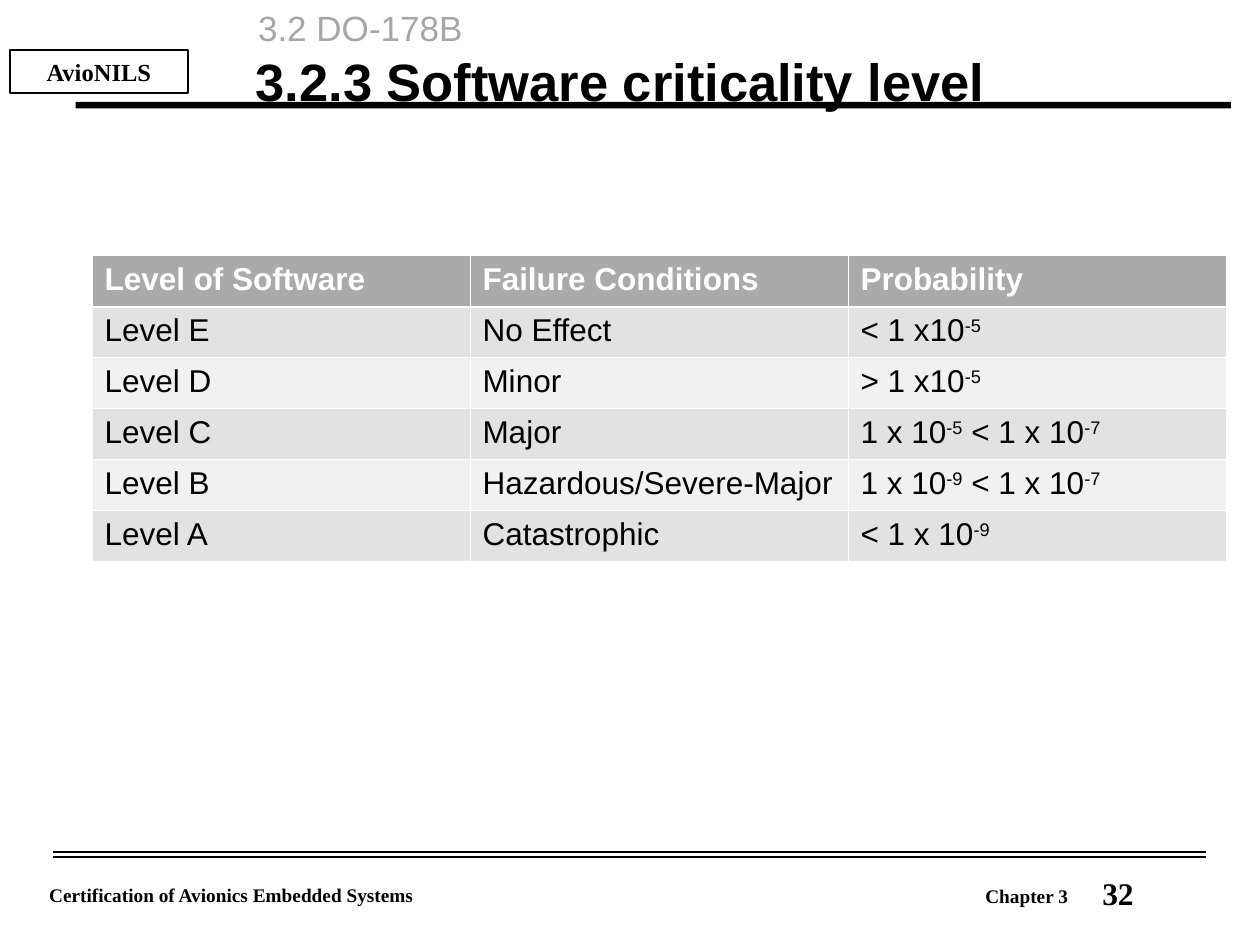
"""Build the software criticality level slide."""
from dataclasses import dataclass

from lxml import etree
from pptx import Presentation
from pptx.dml.color import RGBColor
from pptx.enum.shapes import MSO_CONNECTOR, MSO_SHAPE
from pptx.enum.text import MSO_ANCHOR, PP_ALIGN
from pptx.oxml.ns import qn
from pptx.util import Emu, Inches, Pt

LEFT, CENTER = PP_ALIGN.LEFT, PP_ALIGN.CENTER
TOP, MIDDLE = MSO_ANCHOR.TOP, MSO_ANCHOR.MIDDLE
RECTANGLE, STRAIGHT = MSO_SHAPE.RECTANGLE, MSO_CONNECTOR.STRAIGHT

WIDTH, HEIGHT = Inches(10), Inches(7.5)
GRID_COLUMNS = GRID_ROWS = 100
TITLE_ONLY = 5
SANS, SERIF = "Arial", "Times New Roman"
COLORS = {
    "black": "000000",
    "white": "FFFFFF",
    "section": "A6A6A6",
    "header": "AAAAAA",
    "odd_row": "E2E2E2",
    "even_row": "F1F1F1",
}
THIN_BORDER, HEADER_BORDER = 0.45, 1.47
LEVELS = [
    ("Level of Software", "Failure Conditions", "Probability"),
    ("Level E", "No Effect", "< 1 x10^-5"),
    ("Level D", "Minor", "> 1 x10^-5"),
    ("Level C", "Major", "1 x 10^-5^ < 1 x 10^-7"),
    ("Level B", "Hazardous/Severe-Major", "1 x 10^-9^ < 1 x 10^-7"),
    ("Level A", "Catastrophic", "< 1 x 10^-9"),
]


@dataclass(frozen=True)
class Frame:
    """A place on the slide, in grid columns and rows."""

    left: float
    top: float
    width: float
    height: float

    def lengths(self) -> tuple:
        """Return left, top, width and height as slide lengths."""
        column, row = WIDTH / GRID_COLUMNS, HEIGHT / GRID_ROWS
        return (Emu(round(self.left * column)), Emu(round(self.top * row)),
                Emu(round(self.width * column)), Emu(round(self.height * row)))


@dataclass(frozen=True)
class Style:
    """The look of a piece of text."""

    size: float
    font: str = SERIF
    color: str = "black"
    bold: bool = True
    align: PP_ALIGN = LEFT
    anchor: MSO_ANCHOR = TOP
    spacing: float = 1.0
    inset: float = 0.09


@dataclass(frozen=True)
class Label:
    """A text with its place and look."""

    text: str
    frame: Frame
    style: Style


TITLE = Label("3.2.3 Software criticality level", Frame(19.3, 4, 75.7, 16.67),
              Style(30, SANS, spacing=1.08, inset=0.1))
BADGE = Label("AvioNILS", Frame(0.8, 5.33, 14.1, 4.53),
              Style(14, align=CENTER, anchor=MIDDLE))
LABELS = [
    Label("3.2 DO-178B", Frame(19.5, 0, 55, 5.87),
          Style(20, SANS, "section", False, inset=0.1)),
    Label("Certification of Avionics Embedded Systems",
          Frame(3, 92.8, 42, 3.73), Style(11)),
    Label("Chapter 3", Frame(77.3, 92.93, 10.3, 3.73), Style(11)),
    Label("32", Frame(86.5, 92.27, 13.3, 4.93),
          Style(18, spacing=0.9, inset=0.1)),
]
TITLE_BAR = Frame(6, 10.8, 91.7, 0.67)
FOOTER_RULES = [Frame(4.2, top, 91.5, 0) for top in (90.13, 90.67)]
TABLE = Frame(7.3, 27.07, 90, 32.4)


def rgb(name: str) -> RGBColor:
    """Return a named colour."""
    return RGBColor.from_string(COLORS[name])


def apply(target, values: dict) -> None:
    """Set attributes from a dict of format values."""
    for name, value in values.items():
        setattr(target, name, value)


def write(text_frame, text: str, style: Style) -> None:
    """Write text, with every second part between carets raised."""
    apply(text_frame, {
        "word_wrap": True, "vertical_anchor": style.anchor,
        "margin_left": Inches(style.inset), "margin_right": Inches(style.inset),
        "margin_top": Inches(0.05), "margin_bottom": Inches(0.05),
    })
    paragraph = text_frame.paragraphs[0]
    apply(paragraph, {"alignment": style.align, "line_spacing": style.spacing})
    for index, part in enumerate(text.split("^")):
        run = paragraph.add_run()
        run.text = part
        apply(run.font, {"size": Pt(style.size), "name": style.font,
                         "bold": style.bold})
        run.font.color.rgb = rgb(style.color)
        if index % 2:
            run.font._element.set("baseline", "30000")


def add_label(slide, label: Label) -> None:
    """Add a text box."""
    shape = slide.shapes.add_textbox(*label.frame.lengths())
    write(shape.text_frame, label.text, label.style)


def add_rectangle(slide, frame: Frame, fill: str, outlined: bool):
    """Add a plain rectangle, with or without a black outline."""
    shape = slide.shapes.add_shape(RECTANGLE, *frame.lengths())
    shape.shadow.inherit = False
    shape.fill.solid()
    shape.fill.fore_color.rgb = rgb(fill)
    if outlined:
        shape.line.color.rgb = rgb("black")
        shape.line.width = Pt(1)
    else:
        shape.line.fill.background()
    return shape


def add_rule(slide, frame: Frame) -> None:
    """Add a thin horizontal line."""
    left, top, width, height = frame.lengths()
    connector = slide.shapes.add_connector(
        STRAIGHT, left, top, left + width, top + height)
    connector.line.color.rgb = rgb("black")
    connector.line.width = Pt(1)
    etree.SubElement(connector._element.spPr, qn("a:effectLst"))


def add_borders(cell, widths: dict) -> None:
    """Give a cell white borders of the given widths."""
    properties = cell._tc.get_or_add_tcPr()
    for side, width in widths.items():
        line = etree.SubElement(properties, qn(f"a:ln{side}"), w=str(Pt(width)))
        fill = etree.SubElement(line, qn("a:solidFill"))
        etree.SubElement(fill, qn("a:srgbClr"), val=COLORS["white"])


def add_level_table(slide) -> None:
    """Add the table of software levels."""
    table = slide.shapes.add_table(
        len(LEVELS), len(LEVELS[0]), *TABLE.lengths()).table
    for row, texts in enumerate(LEVELS):
        header = row == 0
        fill = "header" if header else "odd_row" if row % 2 else "even_row"
        style = Style(18, SANS, "white" if header else "black", header, inset=0.1)
        borders = {"L": THIN_BORDER, "R": THIN_BORDER,
                   "T": HEADER_BORDER if row == 1 else THIN_BORDER,
                   "B": HEADER_BORDER if header else THIN_BORDER}
        for column, text in enumerate(texts):
            cell = table.cell(row, column)
            add_borders(cell, borders)
            cell.fill.solid()
            cell.fill.fore_color.rgb = rgb(fill)
            write(cell.text_frame, text, style)
            cell.vertical_anchor = TOP
            apply(cell, {"margin_left": Inches(0.1), "margin_right": Inches(0.1)})


def main() -> None:
    """Build and save the presentation."""
    presentation = Presentation()
    apply(presentation, {"slide_width": WIDTH, "slide_height": HEIGHT})
    slide = presentation.slides.add_slide(
        presentation.slide_layouts[TITLE_ONLY])
    title = slide.shapes.title
    apply(title, dict(zip(("left", "top", "width", "height"),
                          TITLE.frame.lengths())))
    write(title.text_frame, TITLE.text, TITLE.style)
    badge = add_rectangle(slide, BADGE.frame, "white", True)
    write(badge.text_frame, BADGE.text, BADGE.style)
    add_rectangle(slide, TITLE_BAR, "black", False)
    for rule in FOOTER_RULES:
        add_rule(slide, rule)
    for label in LABELS:
        add_label(slide, label)
    add_level_table(slide)
    presentation.save("out.pptx")


if __name__ == "__main__":
    main()
